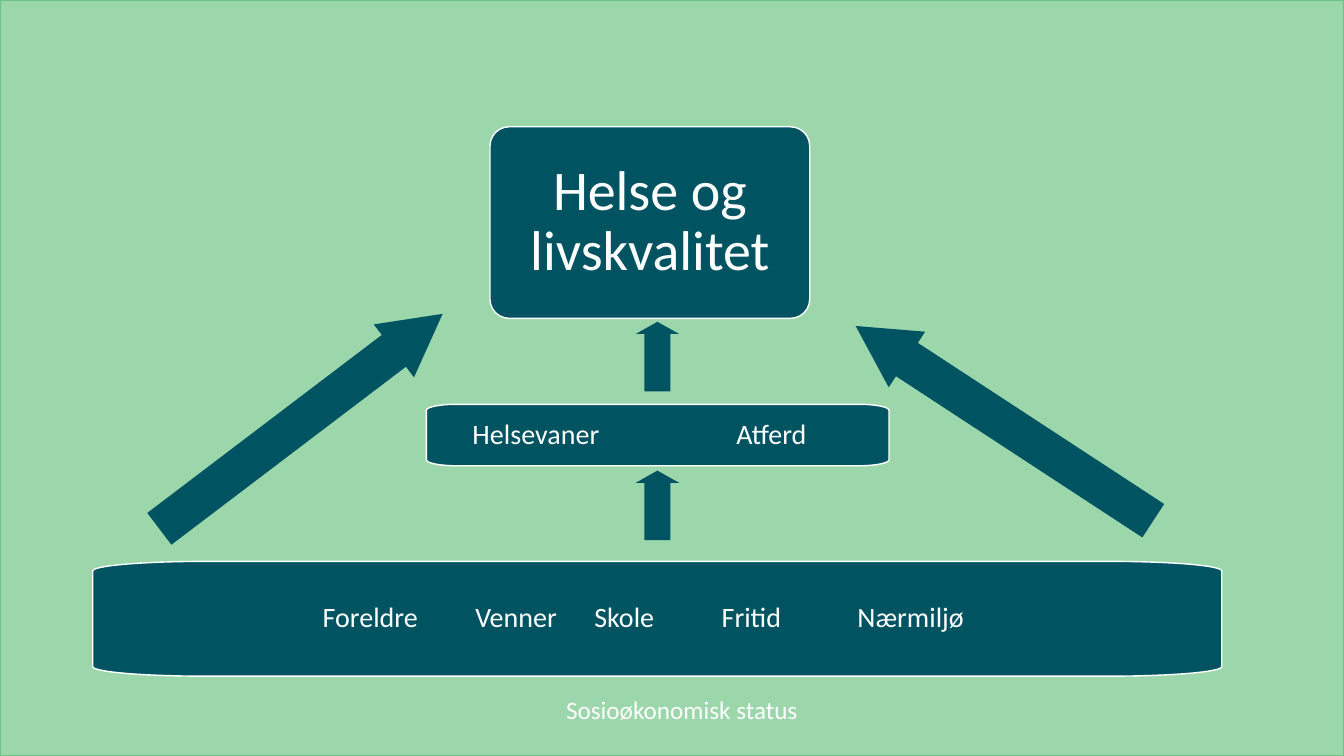
from math import cos, pi, sin

from lxml.etree import SubElement
from pptx import Presentation
from pptx.dml.color import RGBColor
from pptx.enum.shapes import MSO_SHAPE
from pptx.enum.text import MSO_ANCHOR, PP_ALIGN
from pptx.oxml.ns import qn
from pptx.util import Pt

COLORS = {"background": "9CD7AC", "border": "6BC483", "teal": "005462", "white": "FFFFFF"}
FONT = "Calibri"
SLIDE_W, SLIDE_H = 960, 540


def paint(s, fill, line=None):
    """Give a shape a flat fill and an optional one-point outline."""
    s.shadow.inherit = False
    s.fill.solid()
    s.fill.fore_color.rgb = RGBColor.from_string(COLORS[fill])
    if line:
        s.line.color.rgb = RGBColor.from_string(COLORS[line])
        s.line.width = Pt(1)
    else:
        s.line.fill.background()


def write(s, text, size=20, align=PP_ALIGN.CENTER, inset=(7.2, 3.6), spacing=None):
    """Write one paragraph into a shape and return it."""
    tf = s.text_frame
    tf.word_wrap = True
    tf.vertical_anchor = MSO_ANCHOR.MIDDLE
    tf.margin_left, tf.margin_right = (Pt(x) for x in inset)
    tf.margin_top = tf.margin_bottom = Pt(3.6)
    p = tf.paragraphs[0]
    p.alignment = align
    p.line_spacing = spacing
    r = p.add_run()
    r.text = text
    r.font.name, r.font.size = FONT, Pt(size)
    r.font.color.rgb = RGBColor.from_string(COLORS["white"])
    return p


def add_tab_stops(p, stops):
    """Set left tab stops, measured from the text edge."""
    tabs = SubElement(p._p.get_or_add_pPr(), qn("a:tabLst"))
    for stop in stops:
        SubElement(tabs, qn("a:tab"), pos=str(Pt(stop)), algn="l")


def add_bar(slide, left, top, width, height, rx, ry, words):
    """Draw a bar with elliptical corners; words maps text to its left edge."""
    corners = [(left + width - rx, top + height - ry), (left + rx, top + height - ry),
               (left + rx, top + ry), (left + width - rx, top + ry)]
    steps = 16
    points = []
    for i, (cx, cy) in enumerate(corners):
        for k in range(steps + 1):
            a = (i + k / steps) * pi / 2
            points.append((Pt(cx + rx * cos(a)), Pt(cy + ry * sin(a))))
    builder = slide.shapes.build_freeform(*points[0])
    builder.add_line_segments(points[1:], close=True)
    s = builder.convert_to_shape()
    paint(s, "teal", "white")
    first, *others = words.values()
    p = write(s, "\t".join(words), align=PP_ALIGN.LEFT, inset=(first - left, 0), spacing=0.9)
    add_tab_stops(p, [x - first for x in others])


def add_arrow(slide, cx, cy, length, width, rotation, head):
    """Draw an arrow around its centre; head is head length over width."""
    s = slide.shapes.add_shape(MSO_SHAPE.RIGHT_ARROW, Pt(cx - length / 2),
                               Pt(cy - width / 2), Pt(length), Pt(width))
    s.adjustments[0], s.adjustments[1] = 0.6, head
    s.rotation = rotation
    paint(s, "teal")


def add_box(slide, left, top, width, height, text):
    """Draw the rounded outcome box."""
    s = slide.shapes.add_shape(MSO_SHAPE.ROUNDED_RECTANGLE, Pt(left), Pt(top),
                               Pt(width), Pt(height))
    s.adjustments[0] = 0.1
    paint(s, "teal", "white")
    write(s, text, size=40, inset=(11.5, 11.5), spacing=0.9)


def main():
    """Build the health model slide."""
    prs = Presentation()
    prs.slide_width, prs.slide_height = Pt(SLIDE_W), Pt(SLIDE_H)
    slide = prs.slides.add_slide(prs.slide_layouts[6])
    background = slide.shapes.add_shape(MSO_SHAPE.RECTANGLE, 0, 0, Pt(SLIDE_W), Pt(SLIDE_H))
    paint(background, "background", "border")

    add_bar(slide, 66.3, 401, 806.4, 82, 80.6, 6.8,
            {"Foreldre": 230.5, "Venner": 339.5, "Skole": 424.5, "Fritid": 515.5,
             "Nærmiljø": 612.5})
    add_bar(slide, 304.6, 288.8, 330.4, 43.9, 21.6, 4.3,
            {"Helsevaner": 337.5, "Atferd": 526})
    add_box(slide, 350, 90.6, 228.4, 136.8, "Helse og livskvalitet")

    for cx, cy, rotation in ((215, 301, 322.8), (717.5, 302.4, 213.2)):
        add_arrow(slide, cx, cy, 254, 47.5, rotation, 0.92)
    for cy in (361, 254.7):
        add_arrow(slide, 469.6, cy, 49.7, 31, 270, 0.28)

    status = slide.shapes.add_textbox(Pt(312.5), Pt(492.5), Pt(345.6), Pt(29))
    write(status, "Sosioøkonomisk status", size=18)
    prs.save("out.pptx")


if __name__ == "__main__":
    main()
